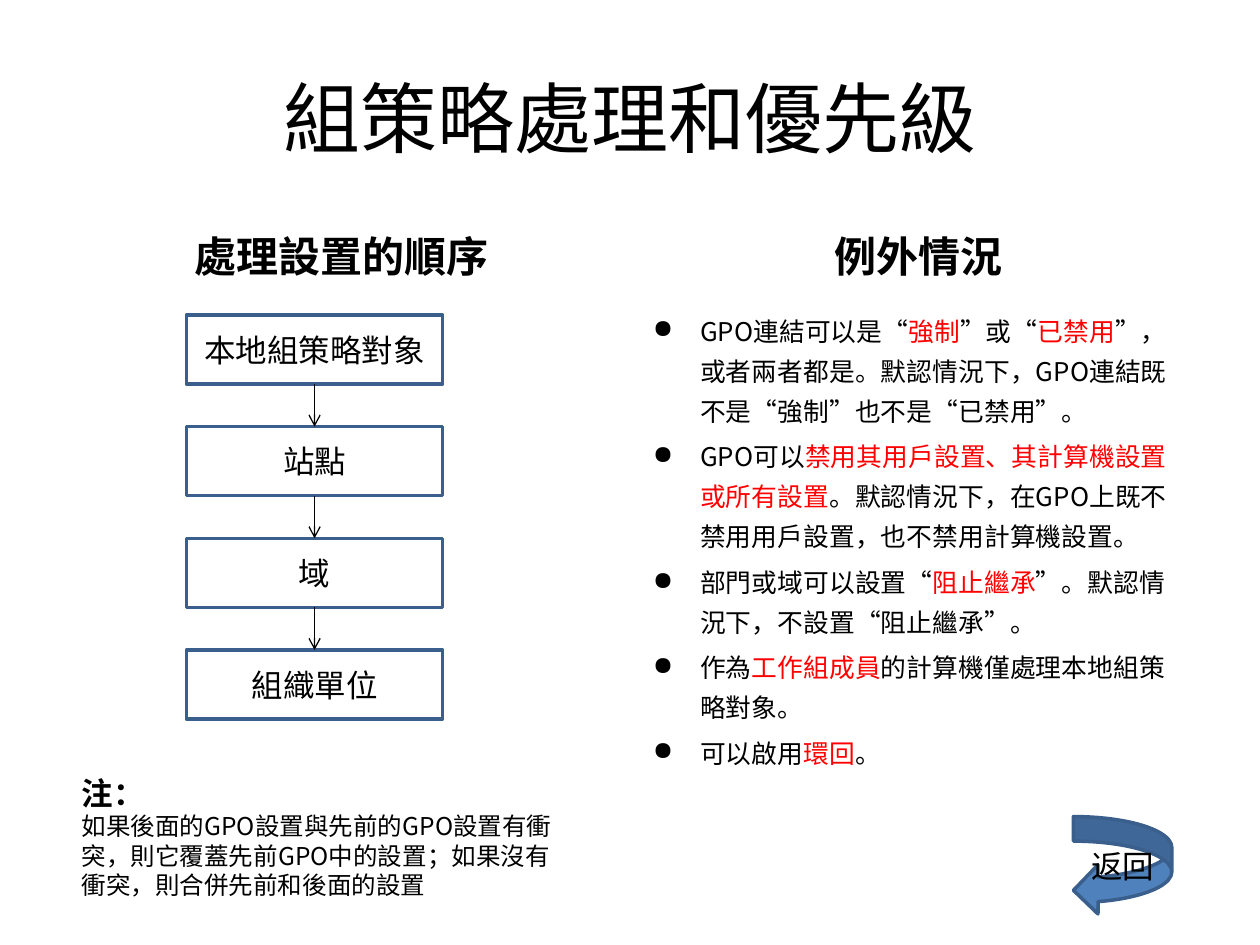
"""Build a slide on the processing order and exceptions of group policy."""
from dataclasses import dataclass

from lxml import etree
from pptx import Presentation
from pptx import util as u
from pptx.dml.color import RGBColor
from pptx.enum import shapes, text
from pptx.oxml import ns

Pt = u.Pt


@dataclass(frozen=True)
class Theme:
    """Colours, fonts and type sizes of the slide."""
    ink: str = "000000"
    accent: str = "FF0000"
    outline: str = "3A5F8C"
    fill: str = "4F81BD"
    latin: str = "Calibri"
    asian: str = "Noto Sans CJK SC"
    title: float = 44
    heading: float = 24
    label: float = 18
    body: float = 14.7
    note: float = 14


def add_xml(parent, tag, **attributes):
    """Append a DrawingML element to a parent."""
    return etree.SubElement(parent, ns.qn(tag), **attributes)


class SlideBuilder:
    """Holds the theme and the current slide."""

    def __init__(self, slide, theme):
        """Keep the slide and its theme."""
        self.slide, self.theme = slide, theme

    def style(self, paragraph, size, bold=False, font=None, color=None):
        """Format every run of a paragraph."""
        for run in paragraph.runs:
            run.font.size, run.font.bold = Pt(size), bold
            run.font.color.rgb = RGBColor.from_string(color or self.theme.ink)
            run.font.name = font or self.theme.latin
            add_xml(run.font._element, "a:ea", typeface=self.theme.asian)

    def text_box(self, left, top, width, height, anchor=text.MSO_ANCHOR.TOP):
        """Add a wrapping text box and return its text frame."""
        shape = self.slide.shapes.add_textbox(Pt(left), Pt(top), Pt(width), Pt(height))
        frame = shape.text_frame
        frame.word_wrap, frame.vertical_anchor = True, anchor
        return frame

    def heading(self, wording, left, top, width, height, size, bold=False):
        """Add a centred line of heading text."""
        frame = self.text_box(left, top, width, height, text.MSO_ANCHOR.MIDDLE)
        frame.text = wording
        paragraph = frame.paragraphs[0]
        paragraph.alignment = text.PP_ALIGN.CENTER
        if bold:
            paragraph.space_before = Pt(size * 0.2)
        self.style(paragraph, size, bold)

    def labelled_shape(self, kind, wording, left, top, width, height, fill=None):
        """Add an outlined preset shape with a centred label."""
        shape = self.slide.shapes.add_shape(kind, Pt(left), Pt(top), Pt(width), Pt(height))
        shape.shadow.inherit = False
        if fill:
            shape.fill.solid()
            shape.fill.fore_color.rgb = RGBColor.from_string(fill)
        else:
            shape.fill.background()
        shape.line.color.rgb = RGBColor.from_string(self.theme.outline)
        shape.line.width = Pt(2)
        frame = shape.text_frame
        frame.text = wording
        frame.word_wrap, frame.vertical_anchor = False, text.MSO_ANCHOR.MIDDLE
        frame.paragraphs[0].alignment = text.PP_ALIGN.CENTER
        self.style(frame.paragraphs[0], self.theme.label)

    def down_arrow(self, x, top, bottom):
        """Add a thin vertical arrow pointing down."""
        connector = self.slide.shapes.add_connector(
            shapes.MSO_CONNECTOR.STRAIGHT, Pt(x), Pt(top), Pt(x), Pt(bottom))
        connector.line.color.rgb = RGBColor.from_string(self.theme.ink)
        connector.line.width = Pt(0.75)
        add_xml(connector.line._get_or_add_ln(), "a:tailEnd", type="arrow")
        add_xml(connector._element.spPr, "a:effectLst")

    def bullets(self, items, left, top, width, height):
        """Add bullets whose parts alternate between plain and accent."""
        frame = self.text_box(left, top, width, height)
        size = self.theme.body
        for index, parts in enumerate(items):
            paragraph = frame.add_paragraph() if index else frame.paragraphs[0]
            paragraph.line_spacing, paragraph.space_before = 1.3, Pt(size * 0.2)
            for part in parts:
                paragraph.add_run().text = part
            self.style(paragraph, size, font=self.theme.asian)
            for run in paragraph.runs[1::2]:
                run.font.color.rgb = RGBColor.from_string(self.theme.accent)
            properties = paragraph._p.get_or_add_pPr()
            properties.set("marL", str(Pt(27)))
            properties.set("indent", str(-Pt(27)))
            add_xml(properties, "a:buChar", char="●")

    def note(self, caption, wording, left, top, width, height):
        """Add a bold caption with a note below it."""
        frame = self.text_box(left, top, width, height)
        frame.auto_size = text.MSO_AUTO_SIZE.SHAPE_TO_FIT_TEXT
        frame.text = f"{caption}\n{wording}"
        self.style(frame.paragraphs[0], self.theme.label, bold=True)
        self.style(frame.paragraphs[1], self.theme.note, font=self.theme.asian)


STAGES = ["本地組策略對象", "站點", "域", "組織單位"]
EXCEPTIONS = [
    ["GPO連結可以是“", "強制", "”或“", "已禁用",
     "”，或者兩者都是。默認情況下，GPO連結既不是“強制”也不是“已禁用”。"],
    ["GPO可以", "禁用其用戶設置、其計算機設置或所有設置",
     "。默認情況下，在GPO上既不禁用用戶設置，也不禁用計算機設置。"],
    ["部門或域可以設置“", "阻止繼承", "”。默認情況下，不設置“阻止繼承”。"],
    ["作為", "工作組成員", "的計算機僅處理本地組策略對象。"],
    ["可以啟用", "環回", "。"],
]
COLUMNS = {"處理設置的順序": 36, "例外情況": 366}
COLUMN_WIDTH = 318
STAGE_LEFT, STAGE_TOP, STAGE_WIDTH, STAGE_HEIGHT, STAGE_STEP = 106.5, 180, 146.5, 39.5, 63.8


def main():
    """Build and save the presentation."""
    presentation = Presentation()
    presentation.slide_width, presentation.slide_height = Pt(720), Pt(540)
    slide = presentation.slides.add_slide(presentation.slide_layouts[6])
    theme = Theme()
    builder = SlideBuilder(slide, theme)

    builder.heading("組策略處理和優先級", 36, 21.6, 648, 90, theme.title)
    for wording, left in COLUMNS.items():
        builder.heading(wording, left, 121, COLUMN_WIDTH, 50.4, theme.heading, bold=True)
    builder.bullets(EXCEPTIONS, COLUMNS["例外情況"], 171.4, COLUMN_WIDTH, 311)

    for index, stage in enumerate(STAGES):
        top = STAGE_TOP + index * STAGE_STEP
        builder.labelled_shape(shapes.MSO_SHAPE.RECTANGLE, stage,
                               STAGE_LEFT, top, STAGE_WIDTH, STAGE_HEIGHT)
        if index:
            builder.down_arrow(STAGE_LEFT + STAGE_WIDTH / 2,
                               top - STAGE_STEP + STAGE_HEIGHT, top)

    builder.note("注：", "如果後面的GPO設置與先前的GPO設置有衝突，則它覆蓋先前GPO中的設置；"
                 "如果沒有衝突，則合併先前和後面的設置", 39.6, 438.5, 292.3, 80)
    builder.labelled_shape(shapes.MSO_SHAPE.CURVED_LEFT_ARROW, "返回",
                           613.4, 466.6, 56.2, 56.2, theme.fill)
    presentation.save("out.pptx")


main()
